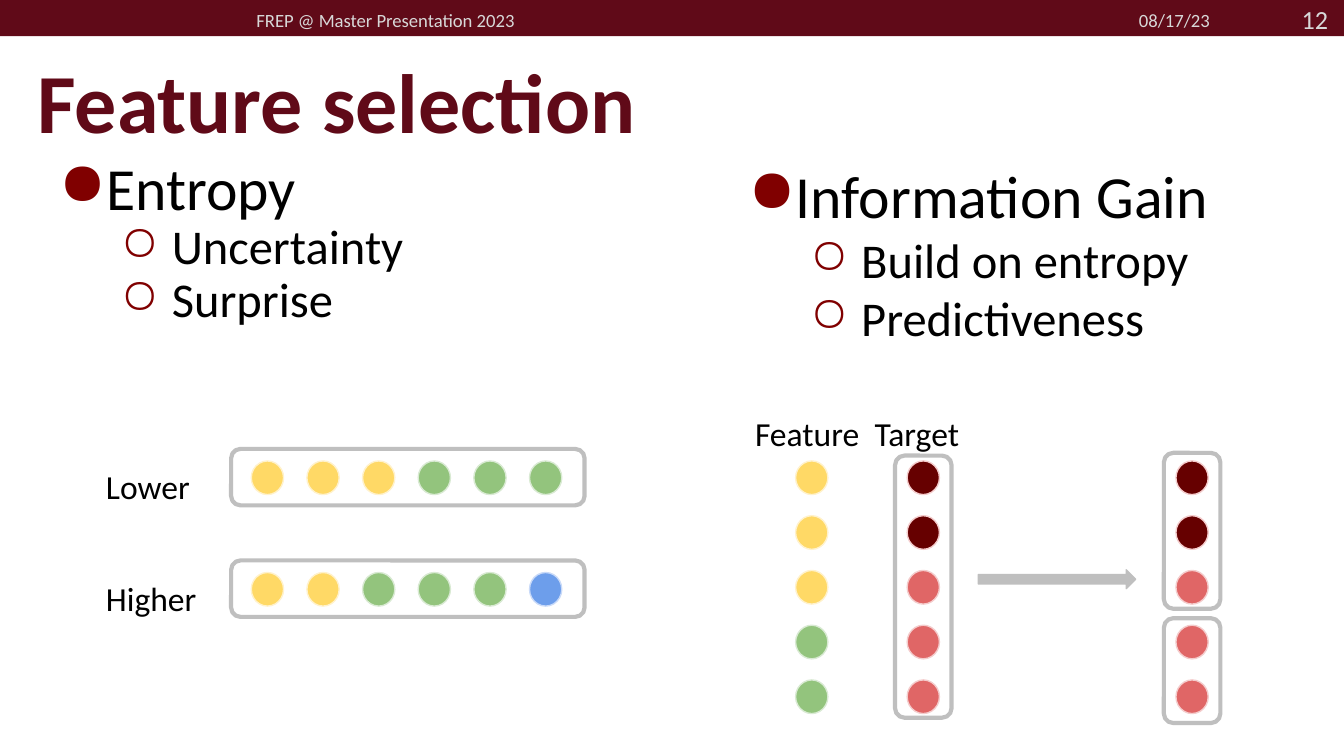
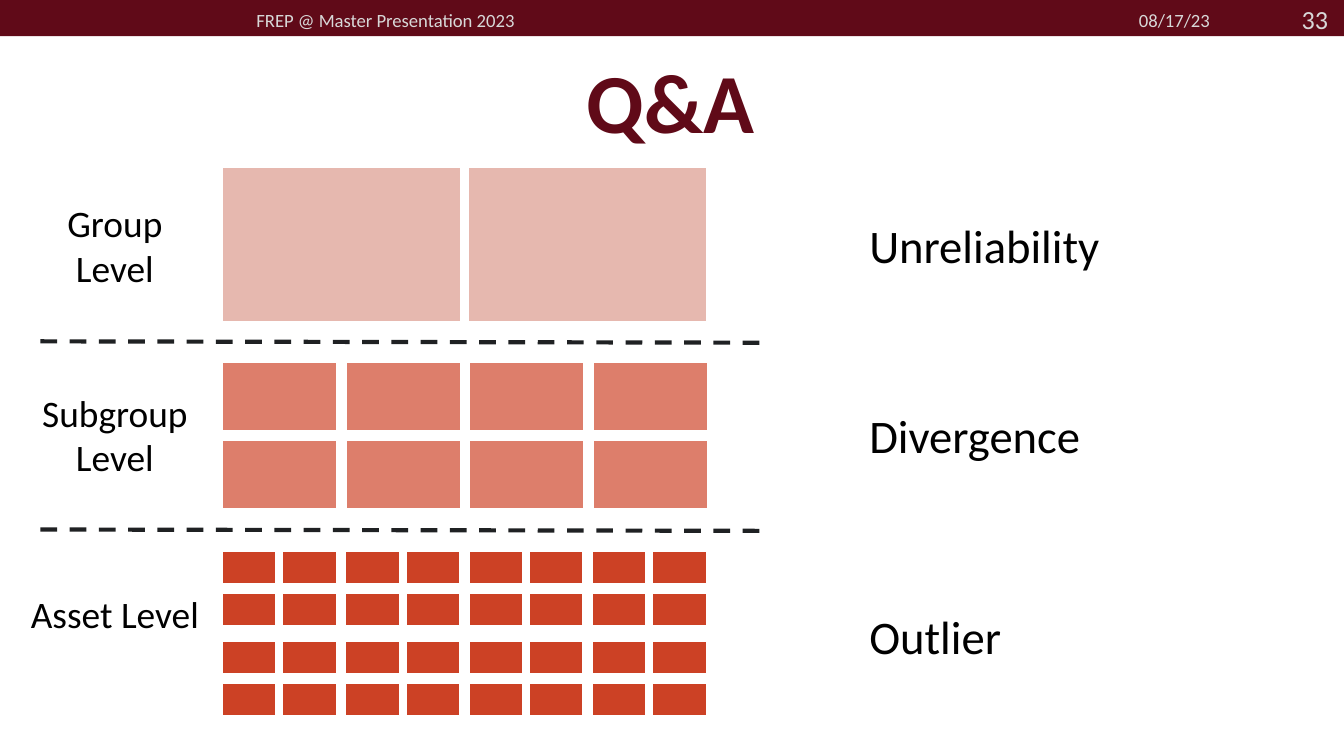
from collections import namedtuple

from lxml import etree
from pptx import Presentation
from pptx.dml.color import RGBColor
from pptx.enum.dml import MSO_LINE
from pptx.enum.shapes import MSO_CONNECTOR, MSO_SHAPE
from pptx.enum.text import MSO_ANCHOR, MSO_AUTO_SIZE, PP_ALIGN
from pptx.oxml.ns import qn
from pptx.util import Inches, Pt

LEFT, CENTER, RIGHT = PP_ALIGN.LEFT, PP_ALIGN.CENTER, PP_ALIGN.RIGHT
TOP, MIDDLE, BOTTOM = MSO_ANCHOR.TOP, MSO_ANCHOR.MIDDLE, MSO_ANCHOR.BOTTOM
RECTANGLE, PROCESS = MSO_SHAPE.RECTANGLE, MSO_SHAPE.FLOWCHART_PROCESS
ELLIPSE, ROUNDED = MSO_SHAPE.OVAL, MSO_SHAPE.ROUNDED_RECTANGLE
RIGHT_ARROW = MSO_SHAPE.RIGHT_ARROW
STRAIGHT, DASH = MSO_CONNECTOR.STRAIGHT, MSO_LINE.DASH
NO_AUTOFIT = MSO_AUTO_SIZE.NONE

FONT = "Calibri"
MAROON, BULLET, BLACK = "600A18", "800000", "000000"
HEADER_TEXT, FRAME_GRAY, DASH_GRAY = "D8D8D8", "BFBFBF", "1F2123"
GROUP_PINK, SUBGROUP_CORAL, ASSET_RED = "E6B8AF", "DD7E6B", "CC4125"
DOT_COLORS = {
    "Y": ("FFD966", "FFF2CC"),
    "G": ("93C47D", "D9EAD3"),
    "B": ("6D9EEB", "C9DAF8"),
    "D": ("660000", "F4CCCC"),
    "R": ("E06666", "F4CCCC"),
}
SLIDE_COLUMNS, SLIDE_ROWS = 100, 56.25


class Box(namedtuple("Box", "left top width height")):
    """An area of the slide, counted in grid units of a tenth of an inch."""

    def inside(self, left, top, width, height):
        """Return a box offset from this one's top left corner."""
        return Box(self.left + left, self.top + top, width, height)

    def cells(self, columns, rows, gap_x=0, gap_y=0):
        """Return equal cells, row by row, with gaps between them."""
        width = (self.width - gap_x * (columns - 1)) / columns
        height = (self.height - gap_y * (rows - 1)) / rows
        return [
            self.inside(column * (width + gap_x), row * (height + gap_y), width, height)
            for row in range(rows)
            for column in range(columns)
        ]

    def lengths(self):
        """Return the four lengths for the slide."""
        return [units(value) for value in self]


def units(value):
    """Convert grid units to a slide length."""
    return Inches(value / 10)


def color(value):
    """Convert a hex string to a colour."""
    return RGBColor.from_string(value)


def add_para(frame, text, size=18, ink=BLACK, bold=False, align=LEFT):
    """Add a formatted paragraph to a text frame."""
    first = frame.paragraphs[0]
    para = frame.add_paragraph() if first.runs else first
    para.alignment = align
    span = para.add_run()
    span.text = text
    span.font.name = FONT
    span.font.size = Pt(size)
    span.font.bold = bold
    span.font.color.rgb = color(ink)
    return para


def set_frame(frame, anchor=TOP, inset=1):
    """Set wrapping, anchor and margins of a text frame."""
    frame.word_wrap = True
    frame.auto_size = NO_AUTOFIT
    frame.vertical_anchor = anchor
    frame.margin_left = frame.margin_right = units(1)
    frame.margin_top = frame.margin_bottom = units(inset)
    return frame


def add_text(page, box, text, anchor=TOP, inset=1, **style):
    """Add a text box with one paragraph."""
    frame = page.shapes.add_textbox(*box.lengths()).text_frame
    add_para(set_frame(frame, anchor, inset), text, **style)


def add_shape(page, kind, box, fill=None, line=None, weight=0.75):
    """Add a flat preset shape."""
    shape = page.shapes.add_shape(kind, *box.lengths())
    shape.shadow.inherit = False
    if fill:
        shape.fill.solid()
        shape.fill.fore_color.rgb = color(fill)
    else:
        shape.fill.background()
    if line:
        shape.line.color.rgb = color(line)
        shape.line.width = Pt(weight)
    else:
        shape.line.fill.background()
    return shape


def add_frame(page, box):
    """Add a rounded grey outline."""
    add_shape(page, ROUNDED, box, line=FRAME_GRAY, weight=2.25)


def add_dots(page, cells, kinds):
    """Fill cells with dots, one letter of kinds for each."""
    for cell, kind in zip(cells, kinds):
        add_shape(page, ELLIPSE, cell, *DOT_COLORS[kind])


def add_dot_column(page, box, kinds):
    """Stack dots down a box."""
    add_dots(page, box.cells(1, len(kinds), gap_y=1.57), kinds)


def add_blocks(page, cells, fill):
    """Fill cells with plain blocks."""
    for cell in cells:
        add_shape(page, PROCESS, cell, fill)


def add_dashes(page, left, top, width):
    """Add a dashed divider that falls slightly to the right."""
    ends = (left, top, left + width, top + 0.1)
    line = page.shapes.add_connector(STRAIGHT, *map(units, ends))
    line.line.color.rgb = color(DASH_GRAY)
    line.line.width = Pt(2.25)
    line.line.dash_style = DASH
    etree.SubElement(line._element.spPr, qn("a:effectLst"))


def set_bullet(para, symbol, margin, hang):
    """Give a paragraph a hanging coloured bullet."""
    props = para._p.get_or_add_pPr()
    props.set("marL", str(units(margin)))
    props.set("indent", str(-units(hang)))
    tint = etree.SubElement(props, qn("a:buClr"))
    etree.SubElement(tint, qn("a:srgbClr"), val=BULLET)
    etree.SubElement(props, qn("a:buChar"), char=symbol)


def add_bullets(page, box, heading, points, spacing):
    """Add a heading bullet with its sub-points."""
    frame = set_frame(page.shapes.add_textbox(*box.lengths()).text_frame, inset=0.5)
    para = add_para(frame, heading, size=32)
    para.line_spacing = spacing
    para.space_before = Pt(15)
    set_bullet(para, "●", 5, 3.4)
    for point in points:
        para = add_para(frame, point, size=26)
        para.level = 1
        para.line_spacing = spacing
        para.space_before = Pt(0)
        set_bullet(para, "○", 10, 3.8)


def add_header(page, box, number):
    """Draw the top band with footer text, date and slide number."""
    add_shape(page, RECTANGLE, box, MAROON)
    style = {"anchor": MIDDLE, "inset": 0.5, "ink": HEADER_TEXT}
    add_text(page, box.inside(18.1, 0.4, 35.6, 2.2),
             "FREP @ Master Presentation 2023", size=10, **style)
    add_text(page, box.inside(73.1, 0.4, 17.9, 2.2),
             "08/17/23", size=10, align=RIGHT, **style)
    add_text(page, box.inside(91, -0.1, 8.8, 3), number, size=14, align=RIGHT, **style)


def add_page(deck, title, number, align=LEFT):
    """Add a slide with the shared header and title."""
    page = deck.slides.add_slide(deck.slide_layouts[5])
    add_header(page, Box(0, 0, SLIDE_COLUMNS, 2.7), number)
    heading = page.shapes.title
    heading.left, heading.top, heading.width, heading.height = Box(
        1.8, 2.3, 96.2, 9.4).lengths()
    frame = set_frame(heading.text_frame, BOTTOM, 0.5)
    add_para(frame, title, size=45, ink=MAROON, bold=True, align=align)
    return page


def add_entropy_row(page, box, label, kinds):
    """Draw a labelled frame of dots."""
    add_text(page, box.inside(0, 0.3, 10.3, 3.7), label)
    add_frame(page, box.inside(10.3, 0, 26.3, 4.2))
    dots = box.inside(11.8, 0.9, 23.1, 2.5)
    add_dots(page, dots.cells(len(kinds), 1, gap_x=1.74), kinds)


def add_information_gain(page, box):
    """Draw the feature and target columns and the split they lead to."""
    for left, label in ((0, "Feature"), (8.9, "Target")):
        add_text(page, box.inside(left, 0, 10, 3.7), label)
    for left, kinds in ((4, "YYYGG"), (12.3, "DDRRR"), (32.3, "DDRRR")):
        add_dot_column(page, box.inside(left, 4.6, 2.4, 18.8), kinds)
    for left, top, height in ((11.4, 4.2, 19.5), (31.4, 4, 11.6), (31.4, 16.3, 7.8)):
        add_frame(page, box.inside(left, top, 4.2, height))
    add_shape(page, RIGHT_ARROW, box.inside(17.6, 12.7, 11.7, 1.4),
              FRAME_GRAY, FRAME_GRAY)


def add_levels(page, box):
    """Draw the group, subgroup and asset blocks with their dividers."""
    groups = box.inside(15.3, 0, 35.9, 11.4)
    add_blocks(page, groups.cells(2, 1, 0.7), GROUP_PINK)
    subgroups = box.inside(15.3, 14.5, 36, 10.8)
    add_blocks(page, subgroups.cells(4, 2, 0.8, 0.8), SUBGROUP_CORAL)
    assets = box.inside(15.3, 28.6, 35.9, 12.1)
    for cell in assets.cells(4, 2, 0.8, 1.3):
        add_blocks(page, cell.cells(2, 2, 0.6, 0.8), ASSET_RED)
    for top in (12.9, 26.9):
        add_dashes(page, box.left + 1.7, box.top + top, 54)


def add_level_labels(page, box):
    """Write each level's name and the measure used on it."""
    rows = (
        (1.4, "Group Level", "Unreliability"),
        (15.5, "Subgroup Level", "Divergence"),
        (30.5, "Asset Level", "Outlier"),
    )
    for top, level, measure in rows:
        add_text(page, box.inside(0, top, 14.5, 8.6), level, size=20, align=CENTER)
        add_text(page, box.inside(62.4, top + 1.25, 34.7, 6.1), measure, size=25)


def build_feature_selection(deck):
    """Build the slide on entropy and information gain."""
    page = add_page(deck, "Feature selection", "12")
    add_bullets(page, Box(1.8, 11.3, 50.4, 16.6), "Entropy",
                ("Uncertainty", "Surprise"), 0.9)
    add_bullets(page, Box(53.1, 11.3, 45.6, 20.3), "Information Gain",
                ("Build on entropy", "Predictiveness"), 1.0)
    add_entropy_row(page, Box(6.9, 33.4, 36.6, 4.2), "Lower", "YYYGGG")
    add_entropy_row(page, Box(6.9, 41.7, 36.6, 4.2), "Higher", "YYGGGB")
    add_information_gain(page, Box(55.2, 29.7, 35.6, 24.1))


def build_questions(deck):
    """Build the questions slide with the three levels."""
    page = add_page(deck, "Q&A", "33", align=CENTER)
    body = Box(1.3, 12.5, 97.1, 40.7)
    add_levels(page, body)
    add_level_labels(page, body)


def main():
    """Build and save the deck."""
    deck = Presentation()
    deck.slide_width = units(SLIDE_COLUMNS)
    deck.slide_height = units(SLIDE_ROWS)
    build_feature_selection(deck)
    build_questions(deck)
    deck.save("out.pptx")


if __name__ == "__main__":
    main()
